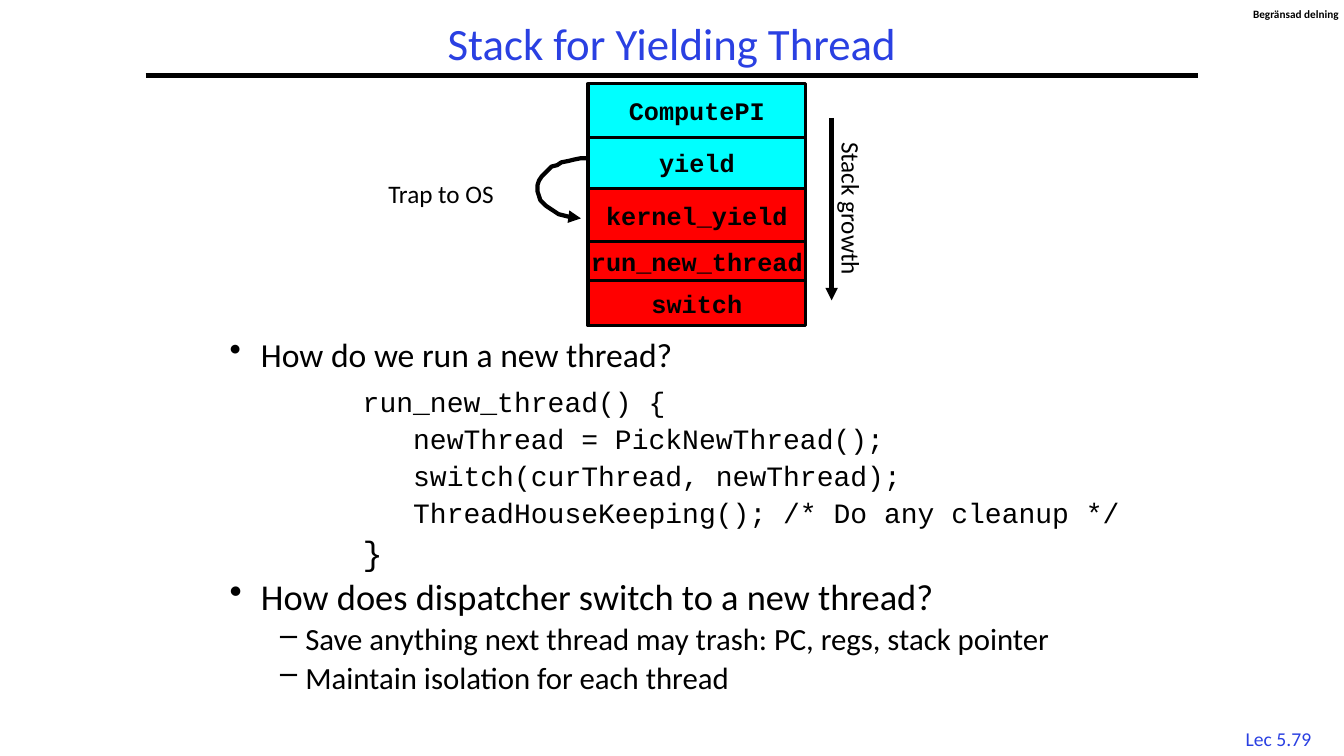
"""Build the slide about the stack of a yielding thread."""
from pptx import Presentation
from pptx.dml.color import RGBColor
from pptx.enum.shapes import MSO_CONNECTOR, MSO_SHAPE
from pptx.enum.text import MSO_ANCHOR, PP_ALIGN
from pptx.oxml.ns import qn
from pptx.util import Pt

BLACK = RGBColor(0x00, 0x00, 0x00)
BLUE = RGBColor(0x2A, 0x40, 0xE2)
CYAN = RGBColor(0x00, 0xFF, 0xFF)
RED = RGBColor(0xFF, 0x00, 0x00)
SANS, MONO = "Calibri", "Courier New"

TITLE = "Stack for Yielding Thread"
FRAMES = [
    ("ComputePI", CYAN, 38.2),
    ("yield", CYAN, 36.6),
    ("kernel_yield", RED, 38.2),
    ("run_new_thread", RED, 27.4),
    ("switch", RED, 32.4),
]
STACK_LEFT, STACK_TOP, STACK_WIDTH = 420, 59.8, 155.5
TRAP_CURVE = [
    [(419.8, 113), (399.6, 113), (383.8, 123.1), (383.8, 134.6)],
    [(383.8, 134.6), (383.8, 146.2), (397.4, 155.5), (415.4, 156.2)],
]
STYLES = {
    "head": (SANS, 22.3, -22.3, "•"),
    "code": (MONO, 95, 0, None),
    "sub": (SANS, 54, -18, "–"),
}
BODY = [
    ("head", "How do we run a new thread?", 24, 0),
    ("code", "run_new_thread() {", 20, 12.5),
    ("code", "   newThread = PickNewThread();", 20, 7.2),
    ("code", "   switch(curThread, newThread);", 20, 7.2),
    ("code", "   ThreadHouseKeeping(); /* Do any cleanup */", 20, 7.2),
    ("code", "}", 24, 7.2),
    ("head", "How does dispatcher switch to a new thread?", 26, 7.8),
    ("sub", "Save anything next thread may trash: PC, regs, stack pointer", 22, 6.6),
    ("sub", "Maintain isolation for each thread", 22, 6.6),
]


def set_font(p, size, name=SANS, color=BLACK, bold=False):
    f = p.font
    f.size, f.name, f.bold = Pt(size), name, bold
    f.color.rgb = color


def add_label(s, text, box, size, color=BLACK, bold=False, align=PP_ALIGN.CENTER,
              inset=(7.2, 3.6), wrap=False):
    sp = s.shapes.add_textbox(*map(Pt, box))
    tf = sp.text_frame
    tf.word_wrap = wrap
    tf.margin_left = tf.margin_right = Pt(inset[0])
    tf.margin_top = tf.margin_bottom = Pt(inset[1])
    p = tf.paragraphs[0]
    p.text, p.alignment = text, align
    set_font(p, size, color=color, bold=bold)
    return sp


def add_arrowhead(sp):
    ln = sp.line._get_or_add_ln()
    ln.append(ln.makeelement(qn("a:tailEnd"), {"type": "triangle"}))


def add_line(s, x1, y1, x2, y2):
    sp = s.shapes.add_connector(MSO_CONNECTOR.STRAIGHT, *map(Pt, (x1, y1, x2, y2)))
    sp.line.color.rgb, sp.line.width = BLACK, Pt(3)
    props = sp._element.spPr
    props.append(props.makeelement(qn("a:effectLst"), {}))
    return sp


def add_frame(s, name, fill, top, height):
    sp = s.shapes.add_shape(MSO_SHAPE.RECTANGLE, Pt(STACK_LEFT), Pt(top),
                            Pt(STACK_WIDTH), Pt(height))
    sp.shadow.inherit = False
    sp.fill.solid()
    sp.fill.fore_color.rgb = fill
    sp.line.color.rgb, sp.line.width = BLACK, Pt(2.25)
    tf = sp.text_frame
    tf.word_wrap, tf.vertical_anchor = False, MSO_ANCHOR.MIDDLE
    p = tf.paragraphs[0]
    p.text, p.alignment = name, PP_ALIGN.CENTER
    set_font(p, 18, MONO, bold=True)


def bezier(points, t):
    weights = ((1 - t) ** 3, 3 * t * (1 - t) ** 2, 3 * t * t * (1 - t), t ** 3)
    return tuple(sum(w * c for w, c in zip(weights, axis)) for axis in zip(*points))


def add_trap_arrow(s, steps=12):
    points = [bezier(c, i / steps) for c in TRAP_CURVE for i in range(1, steps + 1)]
    fb = s.shapes.build_freeform(*TRAP_CURVE[0][0], scale=Pt(1))
    fb.add_line_segments(points, close=False)
    sp = fb.convert_to_shape()
    sp.shadow.inherit = False
    sp.fill.background()
    sp.line.color.rgb, sp.line.width = BLACK, Pt(3)
    add_arrowhead(sp)


def add_body(s):
    tf = s.shapes.add_textbox(Pt(157), Pt(240.5), Pt(683.3), Pt(275.8)).text_frame
    tf.word_wrap = True
    for i, (style, text, size, before) in enumerate(BODY):
        p = tf.add_paragraph() if i else tf.paragraphs[0]
        p.text = text
        p.line_spacing, p.space_before = 0.8, Pt(before)
        name, left, indent, bullet = STYLES[style]
        props = p._p.get_or_add_pPr()
        props.set("marL", str(Pt(left)))
        props.set("indent", str(Pt(indent)))
        if bullet:
            props.append(props.makeelement(qn("a:buChar"), {"char": bullet}))
        set_font(p, size, name)


def main():
    prs = Presentation()
    prs.slide_width, prs.slide_height = Pt(960), Pt(540)
    s = prs.slides.add_slide(prs.slide_layouts[6])

    add_label(s, "Lec 5.79", (878.4, 515.5, 69.8, 23.8), 14, BLUE)
    add_line(s, 104, 54, 856, 54)
    add_label(s, "Begränsad delning", (895, 5, 62, 9.4), 8, bold=True,
              align=PP_ALIGN.LEFT, inset=(0, 0))
    title = add_label(s, TITLE, (104, 12.2, 752, 41.8), 32, BLUE, wrap=True)
    title.text_frame.vertical_anchor = MSO_ANCHOR.MIDDLE
    title.text_frame.paragraphs[0].line_spacing = 0.9
    add_body(s)

    top = STACK_TOP
    for name, fill, height in FRAMES:
        add_frame(s, name, fill, top, height)
        top += height

    add_label(s, "Stack growth", (548.6, 134.6, 119.5, 28.8), 18).rotation = 90
    add_arrowhead(add_line(s, 594, 84.2, 594, 214.6))
    add_trap_arrow(s)
    add_label(s, "Trap to OS", (263.5, 123.8, 103, 28.8), 18)
    prs.save("out.pptx")


if __name__ == "__main__":
    main()
